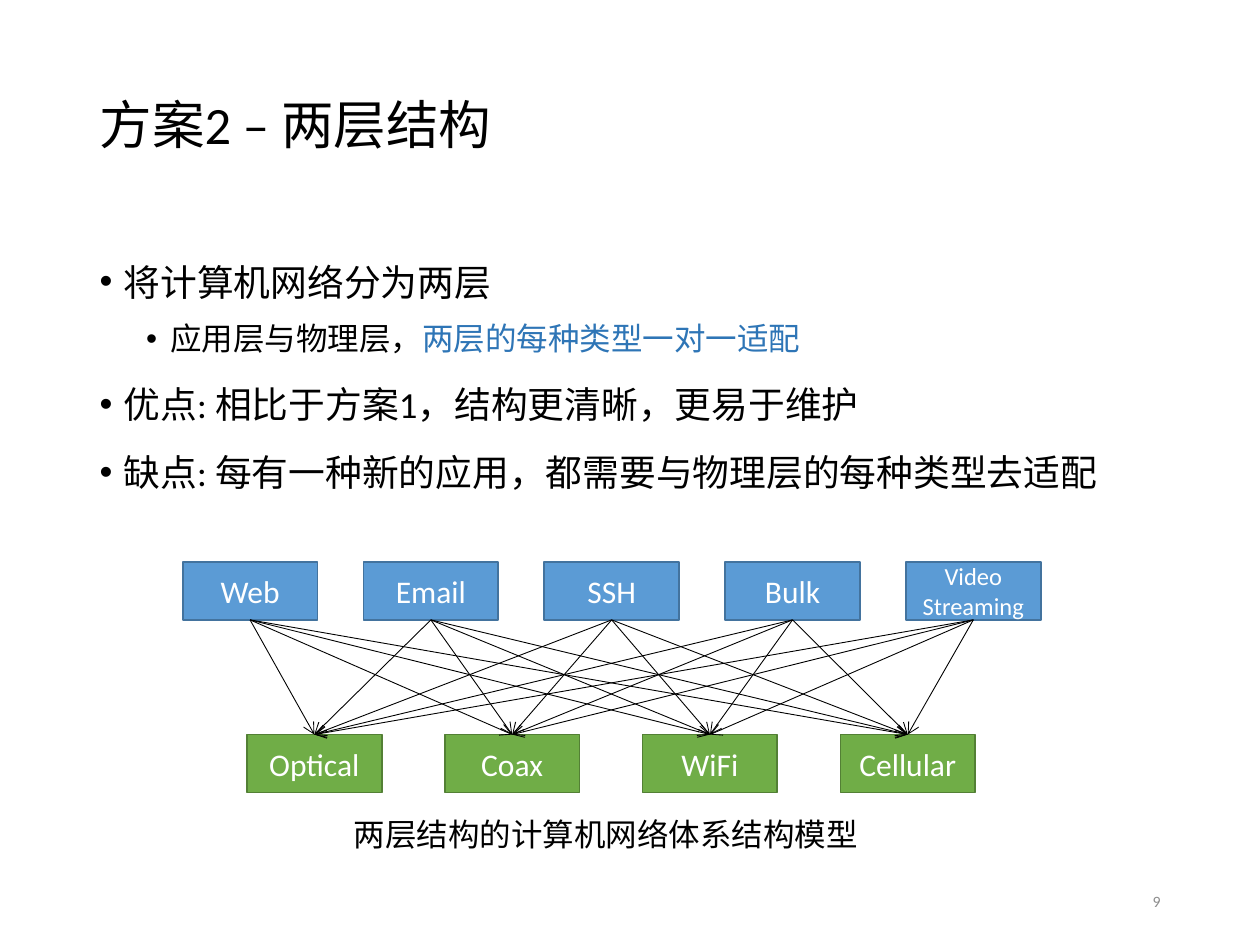
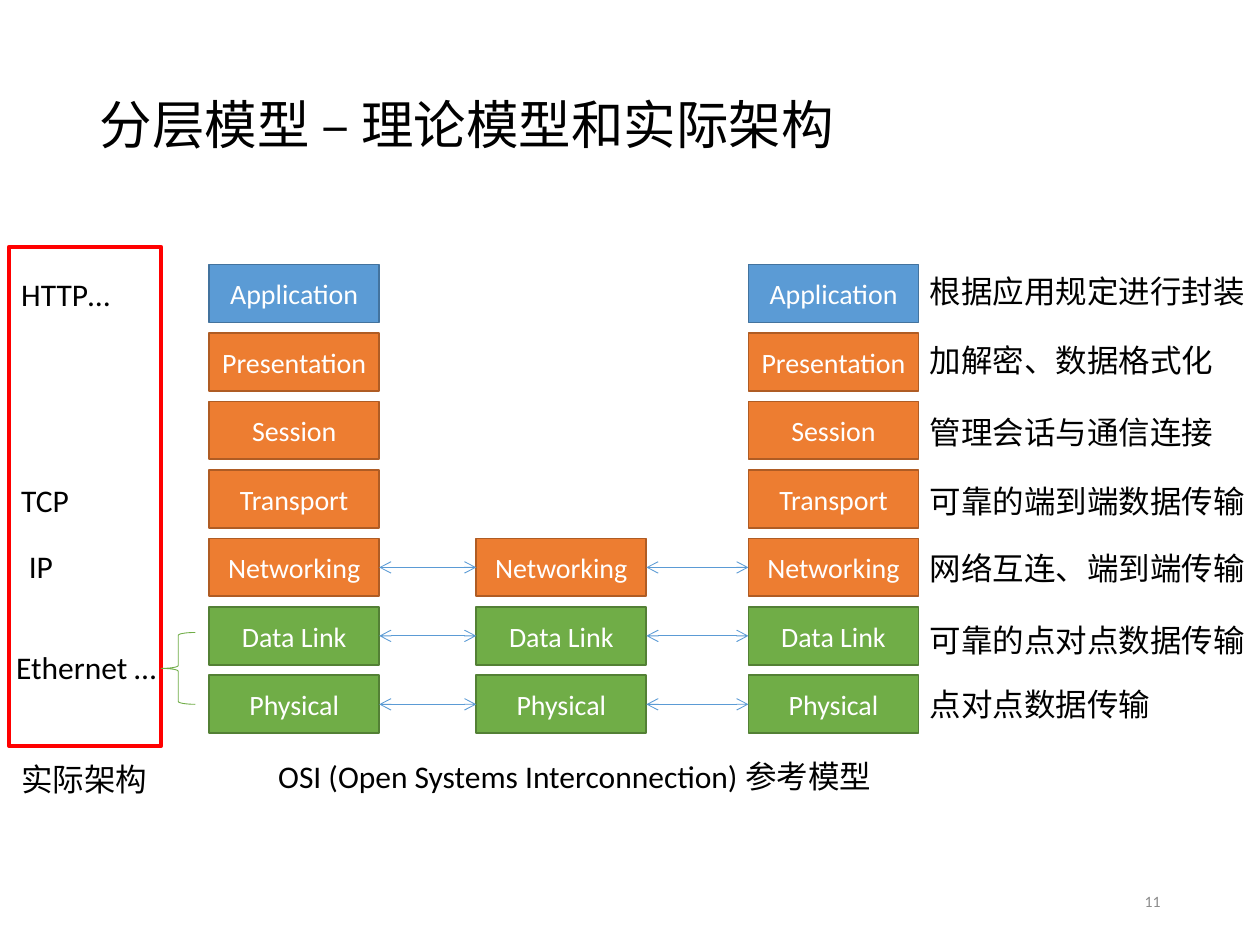
from lxml import etree
from pptx import Presentation
from pptx.dml.color import RGBColor
from pptx.enum.shapes import MSO_CONNECTOR, MSO_SHAPE
from pptx.enum.text import MSO_ANCHOR, MSO_AUTO_SIZE, PP_ALIGN
from pptx.oxml.ns import qn
from pptx.util import Inches, Pt

RECT, BRACE = MSO_SHAPE.RECTANGLE, MSO_SHAPE.LEFT_BRACE
STRAIGHT = MSO_CONNECTOR.STRAIGHT
LEFT, CENTER, RIGHT = PP_ALIGN.LEFT, PP_ALIGN.CENTER, PP_ALIGN.RIGHT
TOP, MIDDLE = MSO_ANCHOR.TOP, MSO_ANCHOR.MIDDLE
NO_FIT = MSO_AUTO_SIZE.NONE
TITLE_AND_BODY, TITLE_ONLY = 1, 5
SIDE_TOP, SIDE_LEFT, SIDE_BOTTOM, SIDE_RIGHT = range(4)

BLACK = RGBColor(0x00, 0x00, 0x00)
WHITE = RGBColor(0xFF, 0xFF, 0xFF)
GREY = RGBColor(0x8C, 0x8C, 0x8C)
RED = RGBColor(0xFF, 0x00, 0x00)
BLUE = RGBColor(0x5B, 0x9B, 0xD5)
BLUE_EDGE = RGBColor(0x43, 0x73, 0x9E)
BLUE_TEXT = RGBColor(0x2E, 0x75, 0xB6)
GREEN = RGBColor(0x70, 0xAD, 0x47)
GREEN_EDGE = RGBColor(0x53, 0x80, 0x35)
ORANGE = RGBColor(0xED, 0x7D, 0x31)
ORANGE_EDGE = RGBColor(0xAF, 0x5C, 0x24)
EDGES = {BLUE: BLUE_EDGE, GREEN: GREEN_EDGE, ORANGE: ORANGE_EDGE}

LATIN, CJK = "Calibri", "Noto Sans CJK SC"
BOX_H = 0.46

# Layers from top to bottom: name, colour, description, top of description
LAYERS = [
    ("Application", BLUE, "根据应用规定进行封装", 2.11),
    ("Presentation", ORANGE, "加解密、数据格式化", 2.66),
    ("Session", ORANGE, "管理会话与通信连接", 3.23),
    ("Transport", ORANGE, "可靠的端到端数据传输", 3.78),
    ("Networking", ORANGE, "网络互连、端到端传输", 4.31),
    ("Data Link", GREEN, "可靠的点对点数据传输", 4.88),
    ("Physical", GREEN, "点对点数据传输", 5.39),
]
ROUTER_LAYERS = 3


def spread(first, last, count):
    """Evenly spaced positions from first to last."""
    return [first + (last - first) * i / (count - 1) for i in range(count)]


def place(shape, x, y, w, h):
    shape.left, shape.top = Inches(x), Inches(y)
    shape.width, shape.height = Inches(w), Inches(h)


def add_run(p, text, size=18, color=BLACK, font=LATIN):
    r = p.add_run()
    r.text = text
    r.font.size = Pt(size)
    r.font.name = font
    r.font.color.rgb = color
    etree.SubElement(r._r.get_or_add_rPr(), qn("a:ea"), typeface=CJK)


def add_label(s, text, x, y, w, h=0.4, align=LEFT, anchor=TOP, wrap=False, **fmt):
    tf = s.shapes.add_textbox(Inches(x), Inches(y), Inches(w), Inches(h)).text_frame
    tf.word_wrap = wrap
    tf.vertical_anchor = anchor
    p = tf.paragraphs[0]
    p.alignment = align
    add_run(p, text, **fmt)


def add_outline(s, kind, x, y, w, h, color, width):
    sp = s.shapes.add_shape(kind, Inches(x), Inches(y), Inches(w), Inches(h))
    sp.shadow.inherit = False
    sp.fill.background()
    sp.line.color.rgb = color
    sp.line.width = Pt(width)
    return sp


def add_box(s, text, x, y, w, fill, size):
    sp = add_outline(s, RECT, x, y, w, BOX_H, EDGES[fill], 1)
    sp.fill.solid()
    sp.fill.fore_color.rgb = fill
    tf = sp.text_frame
    tf.word_wrap = True
    tf.vertical_anchor = MIDDLE
    p = tf.paragraphs[0]
    p.alignment = CENTER
    add_run(p, text, size=size, color=WHITE)
    return sp


def add_arrow(s, start, start_side, end, end_side, color, both=False):
    c = s.shapes.add_connector(STRAIGHT, 0, 0, 0, 0)
    c.begin_connect(start, start_side)
    c.end_connect(end, end_side)
    c.line.color.rgb = color
    c.line.width = Pt(0.5)
    spPr = c._element.spPr
    ln = spPr.find(qn("a:ln"))
    for tag in ("a:headEnd", "a:tailEnd") if both else ("a:tailEnd",):
        etree.SubElement(ln, qn(tag), type="arrow")
    etree.SubElement(spPr, qn("a:effectLst"))


def add_bullet(p, runs, level=0):
    """Runs are (text, colour) pairs."""
    p.level = level
    pPr = p._p.get_or_add_pPr()
    pPr.set("marL", str(Inches(0.56 if level else 0.19)))
    pPr.set("indent", str(Inches(-0.19)))
    etree.SubElement(pPr, qn("a:buFont"), typeface="Arial")
    etree.SubElement(pPr, qn("a:buChar"), char="•")
    p.alignment = LEFT
    p.line_spacing = 1.25
    for text, color in runs:
        add_run(p, text, size=18 if level else 21, color=color)


def add_slide(prs, layout, title, number):
    s = prs.slides.add_slide(prs.slide_layouts[layout])
    place(s.shapes.title, 0.69, 0.4, 8.62, 1.23)
    tf = s.shapes.title.text_frame
    tf.auto_size = NO_FIT
    tf.vertical_anchor = MIDDLE
    p = tf.paragraphs[0]
    p.alignment = LEFT
    p.line_spacing = 0.9
    add_run(p, title, size=30)
    add_label(s, number, 7.06, 6.95, 2.25, align=RIGHT, anchor=MIDDLE,
              wrap=True, size=9, color=GREY)
    return s


def build_two_layers(prs):
    s = add_slide(prs, TITLE_AND_BODY, "方案2 – 两层结构", "9")

    # Bullet list
    body = s.placeholders[1]
    place(body, 0.69, 1.92, 8.62, 2.08)
    tf = body.text_frame
    tf.auto_size = NO_FIT
    bullets = [
        (0, [("将计算机网络分为两层", BLACK)]),
        (1, [("应用层与物理层，", BLACK), ("两层的每种类型一对一适配", BLUE_TEXT)]),
        (0, [("优点: 相比于方案1，结构更清晰，更易于维护", BLACK)]),
        (0, [("缺点: 每有一种新的应用，都需要与物理层的每种类型去适配", BLACK)]),
    ]
    for i, (level, runs) in enumerate(bullets):
        p = tf.add_paragraph() if i else tf.paragraphs[0]
        add_bullet(p, runs, level)
        p.space_before = Pt(0 if i == 0 else 3.8 if level else 7.5)

    # Applications, media, and an arrow for every pair
    names = ["Web", "Email", "SSH", "Bulk", "Video Streaming"]
    apps = [add_box(s, name, x, 4.46, 1.07, BLUE, 14 if " " in name else 18)
            for name, x in zip(names, spread(1.45, 7.19, len(names)))]
    names = ["Optical", "Coax", "WiFi", "Cellular"]
    media = [add_box(s, name, x, 5.83, 1.07, GREEN, 18)
             for name, x in zip(names, spread(1.96, 6.67, len(names)))]
    for app in apps:
        for medium in media:
            add_arrow(s, app, SIDE_BOTTOM, medium, SIDE_TOP, BLACK)
    add_label(s, "两层结构的计算机网络体系结构模型", 2.71, 6.42, 4.24, font=CJK)


def build_osi_model(prs):
    s = add_slide(prs, TITLE_ONLY, "分层模型 – 理论模型和实际架构", "11")

    # Two hosts with a router between them
    rows = list(zip(LAYERS, spread(2.1, 5.36, len(LAYERS))))

    def add_stack(x, stack_rows):
        return [add_box(s, layer[0], x, y, 1.35, layer[1], 16) for layer, y in stack_rows]

    sender = add_stack(1.66, rows)
    router = add_stack(3.78, rows[-ROUTER_LAYERS:])
    receiver = add_stack(5.94, rows)
    for a, b, c in zip(sender[-ROUTER_LAYERS:], router, receiver[-ROUTER_LAYERS:]):
        add_arrow(s, a, SIDE_RIGHT, b, SIDE_LEFT, BLUE, both=True)
        add_arrow(s, b, SIDE_RIGHT, c, SIDE_LEFT, BLUE, both=True)

    # Protocols used in practice
    for text, x, y, w in [("HTTP…", 0.07, 2.13, 0.91), ("TCP", 0.07, 3.77, 0.58),
                          ("IP", 0.13, 4.29, 0.39), ("Ethernet …", 0.03, 5.09, 1.34)]:
        add_label(s, text, x, y, w)
    add_outline(s, RECT, 0.07, 1.96, 1.21, 3.96, RED, 2.25)
    add_outline(s, BRACE, 1.28, 5.02, 0.27, 0.57, GREEN, 0.5)

    # Captions and layer descriptions
    add_label(s, "实际架构", 0.07, 5.98, 1.21, font=CJK)
    add_label(s, "OSI (Open Systems Interconnection) 参考模型", 2.11, 5.96, 5.04)
    for _, _, text, y in LAYERS:
        add_label(s, text, 7.28, y, 0.25 * len(text) + 0.22, font="Arial")


def main():
    prs = Presentation()
    prs.slide_width, prs.slide_height = Inches(10), Inches(7.5)
    build_two_layers(prs)
    build_osi_model(prs)
    prs.save("out.pptx")


if __name__ == "__main__":
    main()
